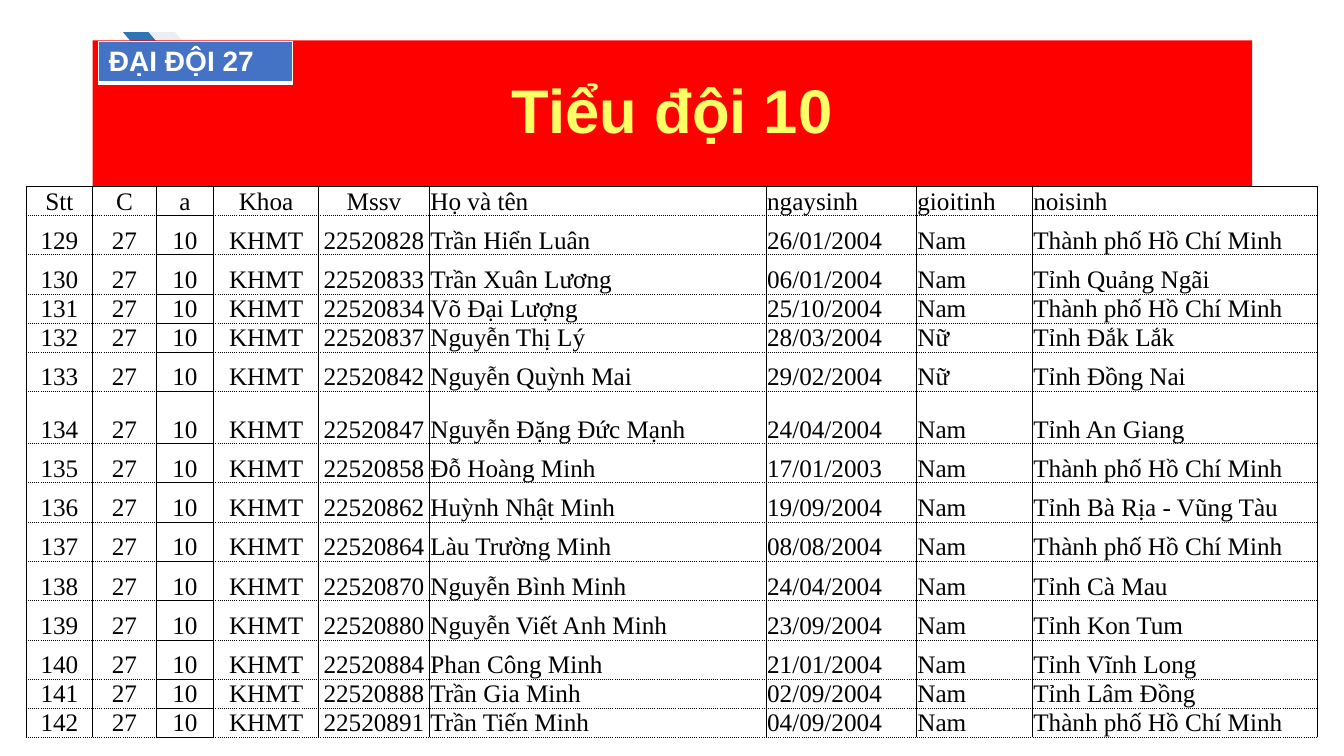
from lxml.etree import SubElement
from pptx import Presentation
from pptx.dml.color import RGBColor
from pptx.enum.shapes import MSO_SHAPE
from pptx.enum.text import MSO_ANCHOR, PP_ALIGN
from pptx.oxml.ns import qn
from pptx.util import Inches, Pt

# Content
TITLE = "Tiểu đội 10"
COMPANY = "ĐẠI ĐỘI 27"
HEADER = ("Stt", "C", "a", "Khoa", "Mssv", "Họ và tên", "ngaysinh", "gioitinh", "noisinh")
FIRST_NO, COMPANY_NO, SQUAD_NO, FACULTY = 129, "27", "10", "KHMT"
HCM = "Thành phố Hồ Chí Minh"
# Student id, name, birth date, sex, birthplace, row height
STUDENTS = [
    ("22520828", "Trần Hiển Luân", "26/01/2004", "Nam", HCM, 0.39),
    ("22520833", "Trần Xuân Lương", "06/01/2004", "Nam", "Tỉnh Quảng Ngãi", 0.39),
    ("22520834", "Võ Đại Lượng", "25/10/2004", "Nam", HCM, 0.28),
    ("22520837", "Nguyễn Thị Lý", "28/03/2004", "Nữ", "Tỉnh Đắk Lắk", 0.28),
    ("22520842", "Nguyễn Quỳnh Mai", "29/02/2004", "Nữ", "Tỉnh Đồng Nai", 0.39),
    ("22520847", "Nguyễn Đặng Đức Mạnh", "24/04/2004", "Nam", "Tỉnh An Giang", 0.52),
    ("22520858", "Đỗ Hoàng Minh", "17/01/2003", "Nam", HCM, 0.39),
    ("22520862", "Huỳnh Nhật Minh", "19/09/2004", "Nam", "Tỉnh Bà Rịa - Vũng Tàu", 0.39),
    ("22520864", "Làu Trường Minh", "08/08/2004", "Nam", HCM, 0.39),
    ("22520870", "Nguyễn Bình Minh", "24/04/2004", "Nam", "Tỉnh Cà Mau", 0.39),
    ("22520880", "Nguyễn Viết Anh Minh", "23/09/2004", "Nam", "Tỉnh Kon Tum", 0.39),
    ("22520884", "Phan Công Minh", "21/01/2004", "Nam", "Tỉnh Vĩnh Long", 0.39),
    ("22520888", "Trần Gia Minh", "02/09/2004", "Nam", "Tỉnh Lâm Đồng", 0.28),
    ("22520891", "Trần Tiến Minh", "04/09/2004", "Nam", HCM, 0.28),
]
COL_WIDTHS = (0.66, 0.63, 0.57, 1.04, 1.1, 3.34, 1.49, 1.15, 2.83)
HEADER_HEIGHT = 0.28
SQUAD_COL = 2
CENTERED_COLS = 5

# Format
BLACK = RGBColor(0x00, 0x00, 0x00)
WHITE = RGBColor(0xFF, 0xFF, 0xFF)
RED = RGBColor(0xFF, 0x00, 0x00)
YELLOW = RGBColor(0xFF, 0xFF, 0x66)
BLUE = RGBColor(0x44, 0x72, 0xC4)
DARK_BLUE = RGBColor(0x2E, 0x75, 0xB6)
PALE = RGBColor(0xEB, 0xEE, 0xF2)
TITLE_FONT = {"name": "Arial", "size": Pt(44), "bold": True}
BADGE_FONT = {"name": "Arial", "size": Pt(20), "bold": True}
CELL_FONT = {"name": "Times New Roman", "size": Pt(18), "bold": False}
CELL_BOX = {"margin_left": Inches(0.01), "margin_right": Inches(0.01),
            "margin_top": Inches(0.01), "margin_bottom": 0,
            "vertical_anchor": MSO_ANCHOR.BOTTOM}


def set_attrs(obj, values):
    for name, value in values.items():
        setattr(obj, name, value)


def write(tf, text, font, color, align):
    p = tf.paragraphs[0]
    p.alignment = align
    r = p.add_run()
    r.text = text
    set_attrs(r.font, font)
    r.font.color.rgb = color
    return p


def add_block(shapes, kind, box, color):
    sp = shapes.add_shape(kind, *map(Inches, box))
    sp.shadow.inherit = False
    sp.fill.solid()
    sp.fill.fore_color.rgb = color
    sp.line.fill.background()
    return sp


def add_plain_table(shapes, left, top, widths, heights):
    table = shapes.add_table(len(heights), len(widths), Inches(left), Inches(top),
                             Inches(sum(widths)), Inches(sum(heights))).table
    set_attrs(table, {"first_row": False, "horz_banding": False})
    for col, width in zip(table.columns, widths):
        col.width = Inches(width)
    for row, height in zip(table.rows, heights):
        row.height = Inches(height)
    return table


def set_borders(cell, color, widths, dashes):
    """Widths and dashes run left, right, top, bottom."""
    tc_pr = cell._tc.get_or_add_tcPr()
    for side, width, dash in zip("LRTB", widths, dashes):
        ln = SubElement(tc_pr, qn("a:ln" + side), w=str(Pt(width)))
        fill = SubElement(ln, qn("a:solidFill"))
        SubElement(fill, qn("a:srgbClr"), val=str(color))
        SubElement(ln, qn("a:prstDash"), val=dash)


prs = Presentation()
prs.slide_width, prs.slide_height = Inches(13.33), Inches(7.5)
shapes = prs.slides.add_slide(prs.slide_layouts[6]).shapes

# Chevrons and title band
for left, color in ((1.22, DARK_BLUE), (1.48, PALE)):
    add_block(shapes, MSO_SHAPE.CHEVRON, (left, 0.32, 0.51, 0.6), color)
band = add_block(shapes, MSO_SHAPE.RECTANGLE, (0.92, 0.4, 11.5, 1.45), RED)
band.text_frame.vertical_anchor = MSO_ANCHOR.MIDDLE
write(band.text_frame, TITLE, TITLE_FONT, YELLOW, PP_ALIGN.CENTER).line_spacing = 0.9

# Squad roster
rows = [HEADER] + [(str(no), COMPANY_NO, SQUAD_NO, FACULTY) + student[:-1]
                   for no, student in enumerate(STUDENTS, FIRST_NO)]
heights = [HEADER_HEIGHT] + [student[-1] for student in STUDENTS]
roster = add_plain_table(shapes, 0.26, 1.85, COL_WIDTHS, heights)
for i, row in enumerate(rows):
    for j, text in enumerate(row):
        cell = roster.cell(i, j)
        top = "solid" if i == 0 or j == SQUAD_COL else "sysDot"
        bottom = "solid" if j == SQUAD_COL else "sysDot"
        set_borders(cell, BLACK, (0.5,) * 4, ("solid", "solid", top, bottom))
        cell.fill.background()
        set_attrs(cell, CELL_BOX)
        align = PP_ALIGN.CENTER if j < CENTERED_COLS else PP_ALIGN.LEFT
        write(cell.text_frame, text, CELL_FONT, BLACK, align)

# Company badge
badge = add_plain_table(shapes, 0.98, 0.41, (1.92,), (0.41,)).cell(0, 0)
set_borders(badge, WHITE, (1, 1, 1, 3), ("solid",) * 4)
badge.fill.solid()
badge.fill.fore_color.rgb = BLUE
write(badge.text_frame, COMPANY, BADGE_FONT, WHITE, PP_ALIGN.LEFT)

prs.save("out.pptx")
